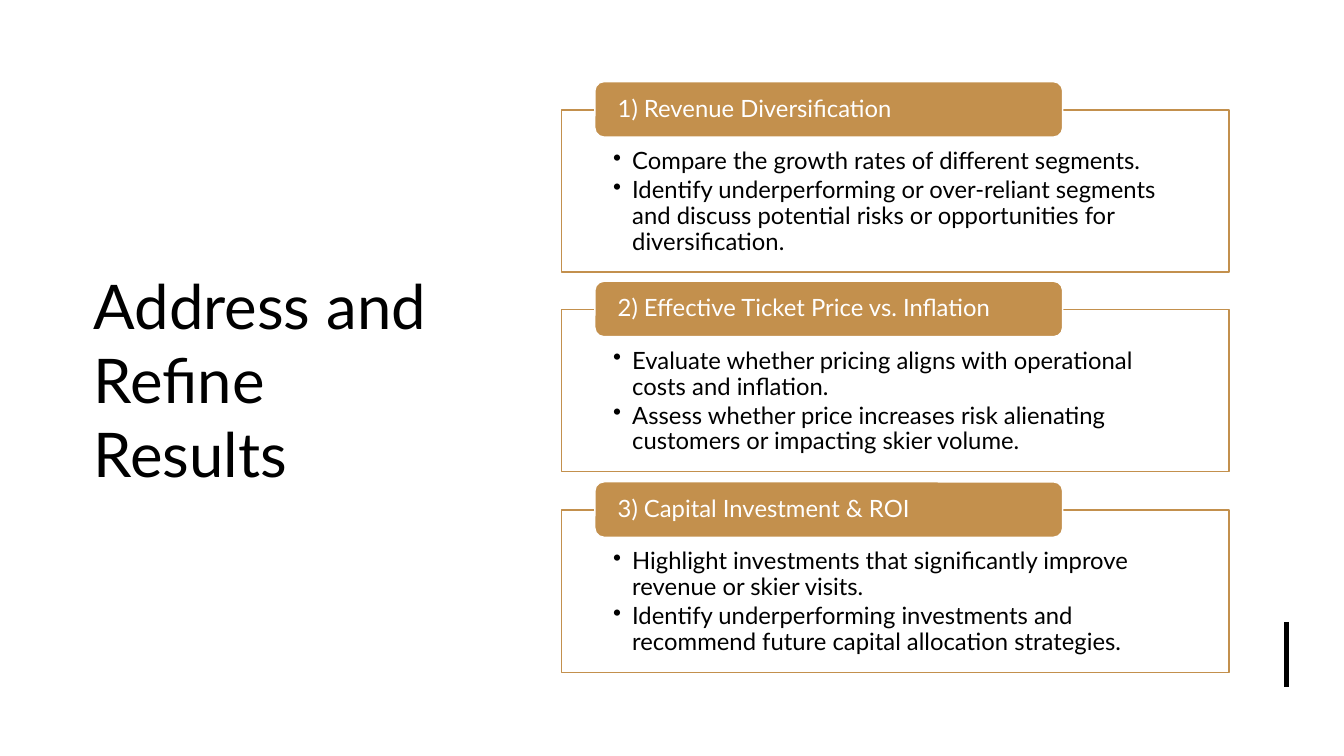
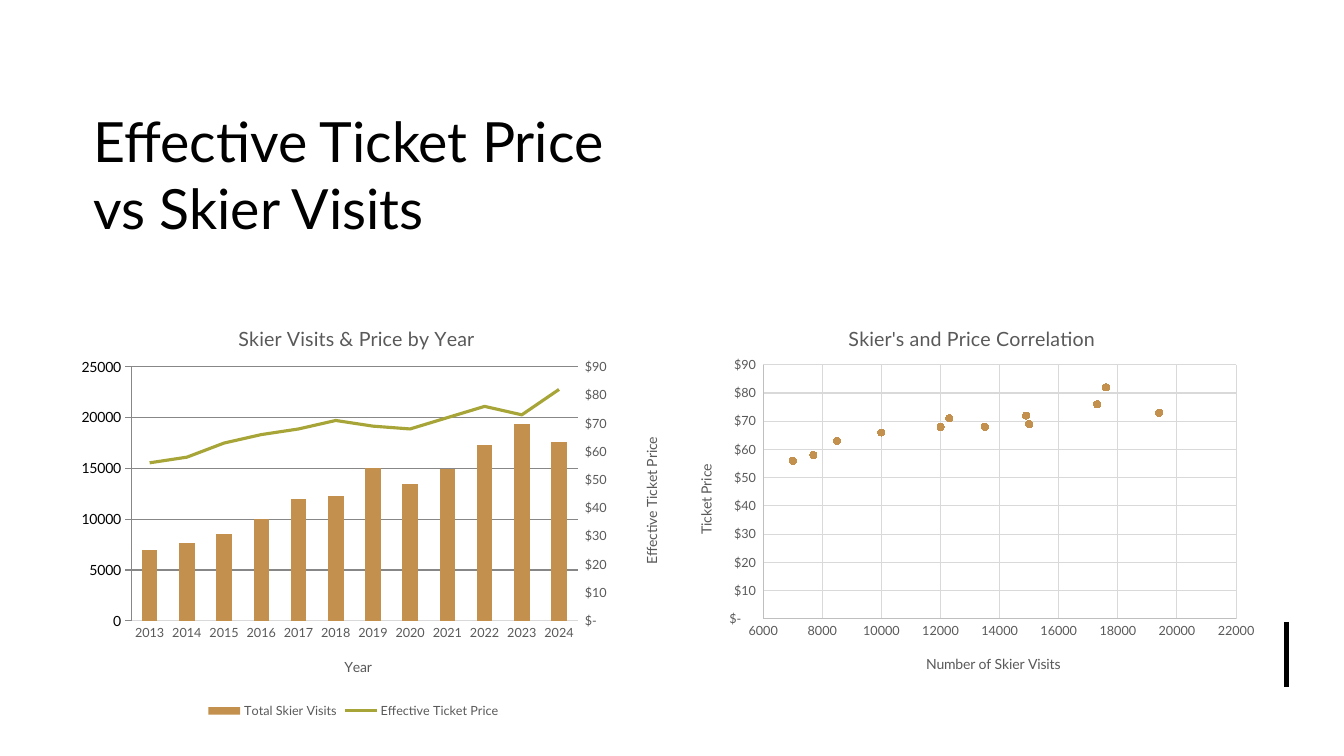
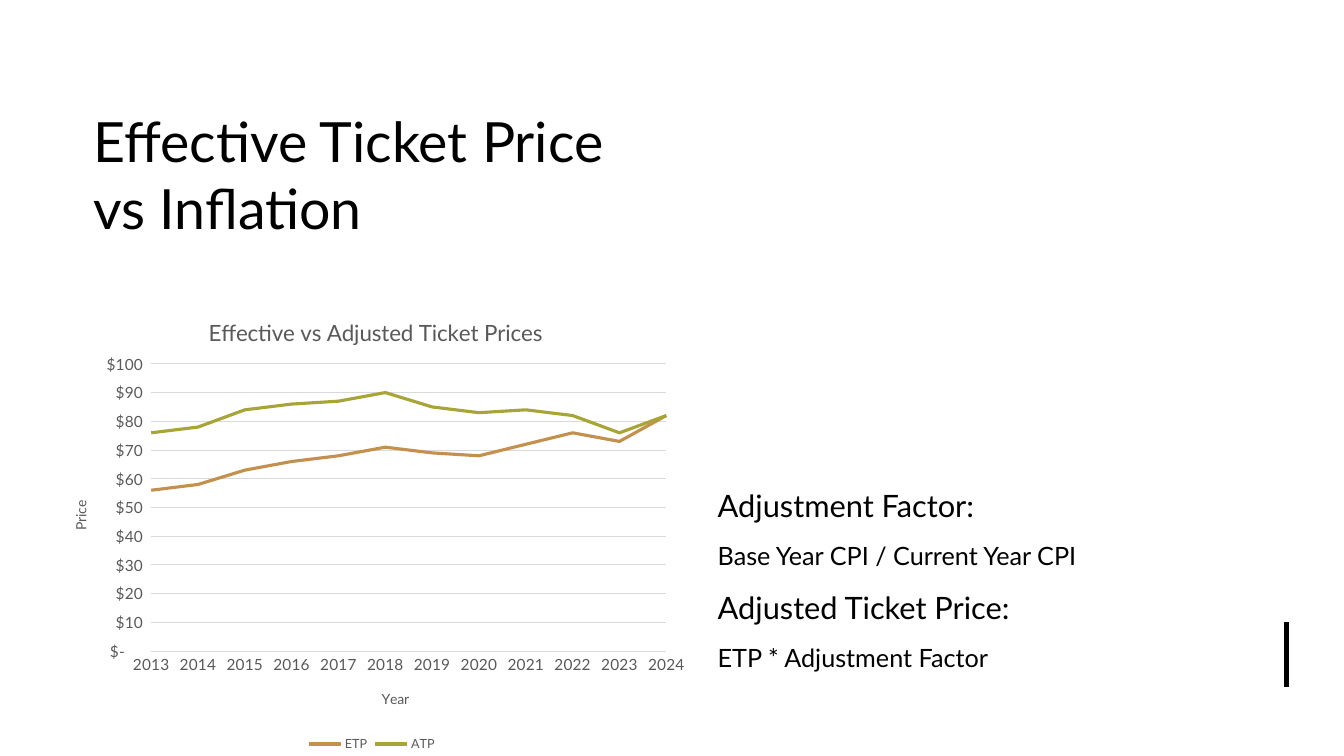
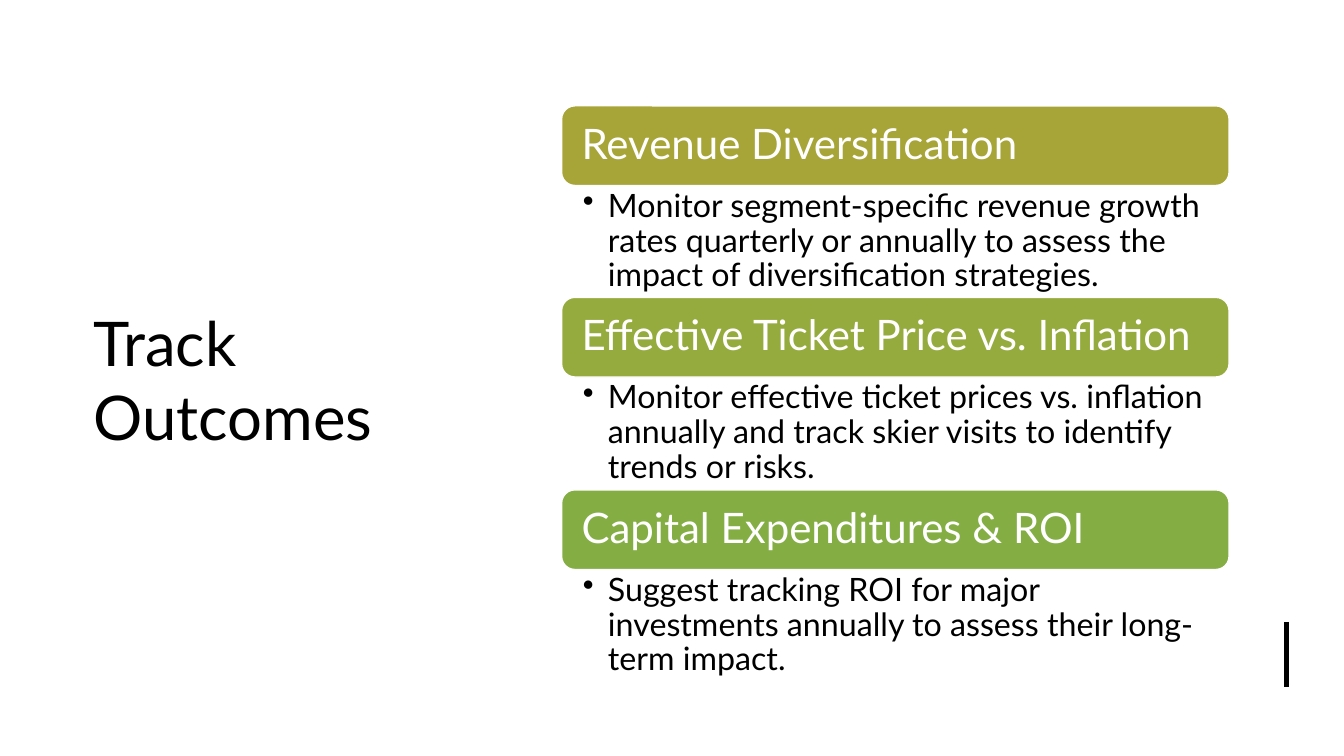
import copy

import lxml.etree
import pptx
import pptx.chart.axis
import pptx.chart.data
import pptx.dml.color
import pptx.enum.chart
import pptx.enum.shapes
import pptx.enum.text
import pptx.oxml
import pptx.oxml.ns
import pptx.util

SCALE = 9144  # EMU in one px, 100 px to the inch
FONT = "Lato"
BLACK, WHITE, GREY = "000000", "FFFFFF", "595959"
TAN, OLIVE, LEAF, GREEN = "C3904D", "A7A537", "96AB3D", "84AE44"
GRID, RULE = "D9D9D9", "BFBFBF"
MONEY = '_("$"* #,##0_);_("$"* \\(#,##0\\);_("$"* "-"??_);_(@_)'

YEARS = [str(year) for year in range(2013, 2025)]
VISITS = [7000, 7700, 8500, 10000, 12000, 12300,
          15000, 13500, 14900, 17300, 19400, 17600]
PRICES = [56, 58, 63, 66, 68, 71, 69, 68, 72, 76, 73, 82]
REAL = [76, 78, 84, 86, 87, 90, 85, 83, 84, 82, 76, 82]

Shape = pptx.enum.shapes.MSO_SHAPE
Kind = pptx.enum.chart.XL_CHART_TYPE
Tick = pptx.enum.chart.XL_TICK_MARK
Pt = pptx.util.Pt
qn = pptx.oxml.ns.qn


def px(n):
    return pptx.util.Emu(n * SCALE)


def color(code):
    return pptx.dml.color.RGBColor.from_string(code)


def node(tag, **attrs):
    """A bare chart element such as c:crosses."""
    space = pptx.oxml.ns.nsdecls("c")
    item = pptx.oxml.parse_xml(f"<c:{tag} {space}/>")
    for key, val in attrs.items():
        item.set(key, str(val))
    return item


def drop(root, *tags):
    for tag in tags:
        for item in root.findall(qn("c:" + tag)):
            root.remove(item)


class Deck:
    """Holds the shared style and the current slide."""

    def __init__(self):
        self.prs = pptx.Presentation()
        self.prs.slide_width, self.prs.slide_height = px(1333), px(750)
        self.slide = None
        self.frame = None

    # Slide, title and edge mark
    def page(self, title, at, size):
        self.slide = self.prs.slides.add_slide(self.prs.slide_layouts[6])
        self.text(at, [title], size, mid=True)
        mark = self.slide.shapes.add_connector(
            pptx.enum.shapes.MSO_CONNECTOR.STRAIGHT,
            px(1276), px(617), px(1276), px(682))
        self.line(mark.line, BLACK, 3)
        props = mark._element.spPr
        lxml.etree.SubElement(props, qn("a:effectLst"))

    def line(self, line, hue, width):
        if hue:
            line.color.rgb = color(hue)
            line.width = Pt(width)
        else:
            line.fill.background()

    # Text
    def font(self, font, size, hue=BLACK):
        font.name, font.size, font.bold = FONT, Pt(size), False
        font.color.rgb = color(hue)

    def words(self, frame, lines, sizes, hue=BLACK, mid=False, inset=None,
              bullet=0, lead=1.0, before=0, after=0):
        anchor = pptx.enum.text.MSO_ANCHOR
        frame.word_wrap = True
        frame.vertical_anchor = anchor.MIDDLE if mid else anchor.TOP
        if inset:
            (frame.margin_left, frame.margin_top,
             frame.margin_right, frame.margin_bottom) = map(px, inset)
        if not isinstance(sizes, list):
            sizes = [sizes] * len(lines)
        for i, (line, size) in enumerate(zip(lines, sizes)):
            par = frame.add_paragraph() if i else frame.paragraphs[0]
            par.text = line
            par.alignment = pptx.enum.text.PP_ALIGN.LEFT
            if bullet:
                props = par._p.get_or_add_pPr()
                props.set("marL", str(px(bullet)))
                props.set("indent", str(px(-bullet)))
                lxml.etree.SubElement(props, qn("a:buChar"), char="•")
            par.line_spacing = lead
            if before and i:
                par.space_before = Pt(before)
            if after:
                par.space_after = Pt(after)
            self.font(par.font, size, hue)

    def text(self, at, lines, sizes, **style):
        box = self.slide.shapes.add_textbox(*map(px, at))
        self.words(box.text_frame, lines, sizes, **style)

    def box(self, kind, at, fill, edge, lines, size, **style):
        box = self.slide.shapes.add_shape(kind, *map(px, at))
        box.shadow.inherit = False
        box.fill.solid()
        box.fill.fore_color.rgb = color(fill)
        self.line(box.line, edge, 1)
        self.words(box.text_frame, lines, size, lead=0.9, **style)

    # Charts
    def chart(self, kind, at, data, title, spot, size, plot, legend=True):
        self.frame = at
        shape = self.slide.shapes.add_chart(kind, *map(px, at), data)
        chart = shape.chart
        self.font(chart.font, 10)
        chart.plots[0].vary_by_categories = False
        chart.has_title = True
        self.head(chart.chart_title, title, spot, size)
        chart.has_legend = legend
        if legend:
            chart.legend.position = pptx.enum.chart.XL_LEGEND_POSITION.BOTTOM
            chart.legend.include_in_layout = False
            self.font(chart.legend.font, 9, GREY)
        area = chart._chartSpace.chart.plotArea
        drop(area, "layout")
        area.insert(0, self.layout(*plot))
        return chart

    def layout(self, x, y, w=0, h=0):
        """Manual place, given in slide px."""
        left, top, wide, high = self.frame
        out, man = node("layout"), node("manualLayout")
        out.append(man)
        if w:
            man.append(node("layoutTarget", val="inner"))
        man.append(node("xMode", val="edge"))
        man.append(node("yMode", val="edge"))
        man.append(node("x", val=(x - left) / wide))
        man.append(node("y", val=(y - top) / high))
        if w:
            man.append(node("w", val=w / wide))
            man.append(node("h", val=h / high))
        return out

    def head(self, title, label, spot, size, turn=False):
        frame = title.text_frame
        frame.text = label
        self.font(frame.paragraphs[0].font, size, GREY)
        if turn:
            body = frame._txBody.bodyPr
            body.set("rot", "-5400000")
            body.set("vert", "horz")
        root = title._element
        drop(root, "layout")
        root.find(qn("c:tx")).addnext(self.layout(*spot))

    def axis(self, axis, title, spot, turn=False, span=None, fmt="General",
             size=9, edge=None, grid=False):
        axis.has_title = True
        self.head(axis.axis_title, title, spot, 10, turn)
        axis.major_tick_mark = axis.minor_tick_mark = Tick.NONE
        if span:
            axis.minimum_scale, axis.maximum_scale, axis.major_unit = span
        labels = axis.tick_labels
        labels.number_format, labels.number_format_is_linked = fmt, False
        self.font(labels.font, size, GREY)
        self.line(axis.format.line, edge, 0.75)
        axis.has_major_gridlines = grid
        if grid:
            self.line(axis.major_gridlines.format.line, GRID, 0.75)

    def trend(self, series, hue):
        self.line(series.format.line, hue, 2.25)
        series.marker.style = pptx.enum.chart.XL_MARKER_STYLE.NONE
        series.smooth = False

    def second(self, chart):
        """Moves the last bar series to a line; returns its right axis."""
        bars = chart._chartSpace.chart.plotArea.find(qn("c:barChart"))
        series = bars.findall(qn("c:ser"))[-1]
        drop(series, "invertIfNegative")
        plot = node("lineChart")
        plot.append(node("grouping", val="standard"))
        plot.append(node("varyColors", val=0))
        plot.append(series)
        plot.append(node("marker", val=1))
        plot.append(node("axId", val=111))
        plot.append(node("axId", val=112))
        bars.addnext(plot)
        base = chart.value_axis._element
        cats = copy.deepcopy(chart.category_axis._element)
        vals = copy.deepcopy(base)
        for item, own, other in ((cats, "111", "112"), (vals, "112", "111")):
            item.find(qn("c:axId")).set("val", own)
            item.find(qn("c:crossAx")).set("val", other)
        base.addnext(vals)
        vals.addnext(cats)
        pptx.chart.axis.CategoryAxis(cats).visible = False
        vals.find(qn("c:axPos")).set("val", "r")
        vals.find(qn("c:crosses")).set("val", "max")
        return pptx.chart.axis.ValueAxis(vals)


def lists(data, **series):
    data.categories = YEARS
    for name, vals in series.items():
        data.add_series(name.replace("_", " "), vals)
    return data


def address(deck):
    deck.page("Address and Refine Results", (83, 94, 377, 564), 44)
    cards = [
        ("1) Revenue Diversification",
         ["Compare the growth rates of different segments.",
          "Identify underperforming or over-reliant segments and discuss "
          "potential risks or opportunities for diversification."]),
        ("2) Effective Ticket Price vs. Inflation",
         ["Evaluate whether pricing aligns with operational costs and "
          "inflation.",
          "Assess whether price increases risk alienating customers or "
          "impacting skier volume."]),
        ("3) Capital Investment & ROI",
         ["Highlight investments that significantly improve revenue or "
          "skier visits.",
          "Identify underperforming investments and recommend future "
          "capital allocation strategies."]),
    ]
    for i, (name, points) in enumerate(cards):
        top = 109 + 397 * i // 2
        deck.box(Shape.RECTANGLE, (557, top, 662, 161), WHITE, TAN, points,
                 17, inset=(51, 39, 51, 13), bullet=19, after=2.5)
        deck.box(Shape.ROUNDED_RECTANGLE, (590, top - 28, 464, 55), TAN,
                 WHITE, [name], 17, hue=WHITE, mid=True,
                 inset=(20, 0, 20, 0))


def visits(deck):
    deck.page("Effective Ticket Price\vvs Skier Visits",
              (83, 94, 1135, 157), 39.6)
    # Visits as columns, price as a line on the right axis
    data = lists(pptx.chart.data.CategoryChartData(),
                 Total_Skier_Visits=VISITS, Effective_Ticket_Price=PRICES)
    chart = deck.chart(Kind.COLUMN_CLUSTERED, (34, 299, 633, 418), data,
                       "Skier Visits & Price by Year", (233, 318), 14,
                       (130, 364, 443, 252))
    right = deck.second(chart)
    deck.axis(chart.category_axis, "Year", (339, 649), edge=GRID)
    deck.axis(chart.value_axis, "Total Skier Visits", (56, 445), turn=True,
              span=(0, 25000, 5000), grid=True)
    deck.axis(right, "Effective Ticket Price", (634, 431), turn=True,
              span=(0, 90, 10), fmt=MONEY)
    bars, line = chart.plots
    bars.gap_width, bars.overlap = 140, -27
    fill = bars.series[0].format.fill
    fill.solid()
    fill.fore_color.rgb = color(TAN)
    deck.trend(line.series[0], OLIVE)
    # Price against visits
    data = pptx.chart.data.XyChartData()
    dots = data.add_series("Series 1")
    for x, y in zip(VISITS, PRICES):
        dots.add_data_point(x, y)
    chart = deck.chart(Kind.XY_SCATTER, (666, 299, 590, 384), data,
                       "Skier's and Price Correlation", (838, 318), 14,
                       (757, 362, 469, 252), legend=False)
    deck.axis(chart.category_axis, "Number of Skier Visits", (916, 646),
              span=(6000, 22000, 2000), edge=RULE, grid=True)
    deck.axis(chart.value_axis, "Ticket Price", (688, 458), turn=True,
              span=(0, 90, 10), fmt=MONEY, edge=RULE, grid=True)
    series = chart.plots[0].series[0]
    deck.line(series.format.line, None, 0)
    mark = series.marker
    mark.style, mark.size = pptx.enum.chart.XL_MARKER_STYLE.CIRCLE, 5
    mark.format.fill.solid()
    mark.format.fill.fore_color.rgb = color(TAN)
    deck.line(mark.format.line, TAN, 0.75)


def prices(deck):
    deck.page("Effective Ticket Price\vvs Inflation",
              (83, 94, 1135, 157), 39.6)
    deck.text((702, 474, 408, 200),
              ["Adjustment Factor:", "Base Year CPI / Current Year CPI",
               "Adjusted Ticket Price:", "ETP * Adjustment Factor"],
              [22, 18] * 2, lead=1.1, before=10)
    data = lists(pptx.chart.data.CategoryChartData(), ETP=PRICES, ATP=REAL)
    chart = deck.chart(Kind.LINE, (46, 289, 646, 461), data,
                       "Effective vs Adjusted Ticket Prices", (203, 310), 16,
                       (150, 361, 511, 285))
    deck.axis(chart.category_axis, "Year", (376, 681), size=11, edge=GRID)
    deck.axis(chart.value_axis, "Price", (68, 494), turn=True,
              span=(0, 100, 10), fmt=MONEY, size=11, grid=True)
    # Start the lines on the axis itself
    root = chart.value_axis._element
    drop(root, "crossBetween")
    root.find(qn("c:crosses")).addnext(node("crossBetween", val="midCat"))
    for series, hue in zip(chart.plots[0].series, (TAN, OLIVE)):
        deck.trend(series, hue)


def track(deck):
    deck.page("Track Outcomes", (83, 94, 377, 564), 44)
    goals = [
        (OLIVE, 112, "Revenue Diversification",
         "Monitor segment-specific revenue growth rates quarterly or "
         "annually to assess the impact of diversification strategies."),
        (LEAF, 112, "Effective Ticket Price vs. Inflation",
         "Monitor effective ticket prices vs. inflation annually and track "
         "skier visits to identify trends or risks."),
        (GREEN, 78, "Capital Expenditures & ROI",
         "Suggest tracking ROI for major investments annually to assess "
         "their long-term impact."),
    ]
    for i, (hue, high, name, goal) in enumerate(goals):
        top = 105 + 381 * i // 2
        deck.box(Shape.ROUNDED_RECTANGLE, (557, top, 662, 79), hue, WHITE,
                 [name], 30, hue=WHITE, mid=True, inset=(16, 12, 16, 12))
        deck.text((557, top + 79, 662, high), [goal], 23,
                  inset=(21, 4, 23, 4), bullet=25, lead=0.9)


def main():
    deck = Deck()
    for build in (address, visits, prices, track):
        build(deck)
    deck.prs.save("out.pptx")


if __name__ == "__main__":
    main()
